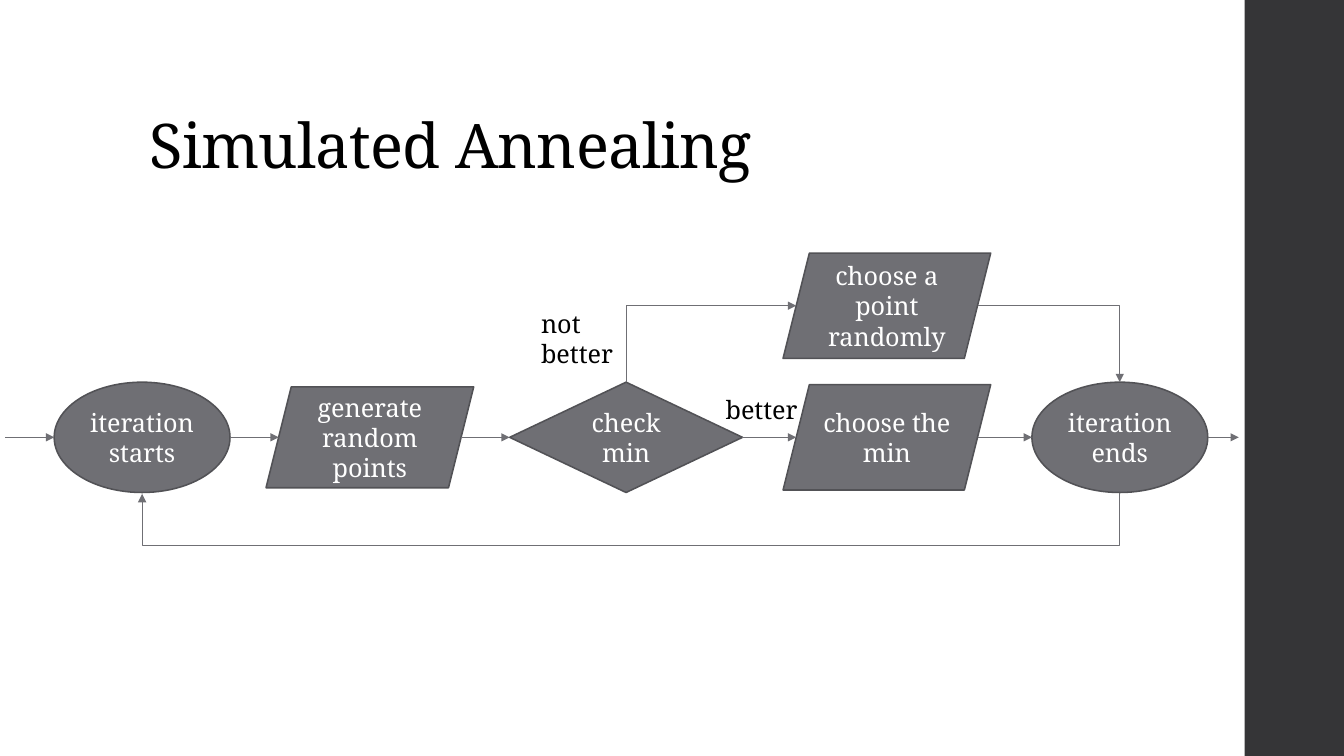
import pptx
import pptx.util
import pptx.dml.color
import pptx.enum.shapes
import pptx.enum.text
import lxml.etree

Pt = pptx.util.Pt
RGBColor = pptx.dml.color.RGBColor
MSO_SHAPE = pptx.enum.shapes.MSO_SHAPE
MSO_CONNECTOR = pptx.enum.shapes.MSO_CONNECTOR
MSO_ANCHOR = pptx.enum.text.MSO_ANCHOR
PP_ALIGN = pptx.enum.text.PP_ALIGN
qn = pptx.oxml.ns.qn

BLACK = RGBColor(0x00, 0x00, 0x00)
WHITE = RGBColor(0xFF, 0xFF, 0xFF)
NODE_GRAY = RGBColor(0x6F, 0x6F, 0x74)
OUTLINE_GRAY = RGBColor(0x52, 0x52, 0x56)
SIDEBAR_GRAY = RGBColor(0x35, 0x35, 0x37)


class FlowSlide:
    font_name = "Noto Serif"
    text_size = 18
    title_size = 44

    def __init__(self, deck):
        self.page = deck.slides.add_slide(deck.slide_layouts[5])
        self.shapes = self.page.shapes

    def set_text(self, box, text, size, color, align, anchor):
        frame = box.text_frame
        frame.word_wrap = True
        frame.vertical_anchor = anchor
        para = frame.paragraphs[0]
        para.alignment = align
        para.font.name = self.font_name
        para.font.size = Pt(size)
        para.font.color.rgb = color
        span = para.add_run()
        span.text = text
        return para, span

    def title(self, text, left, top, width, height):
        box = self.shapes.title
        box.left, box.top, box.width, box.height = Pt(left), Pt(top), Pt(width), Pt(height)
        para, span = self.set_text(box, text, self.title_size, BLACK, PP_ALIGN.LEFT, MSO_ANCHOR.BOTTOM)
        box.text_frame.auto_size = pptx.enum.text.MSO_AUTO_SIZE.NONE
        para.line_spacing = 0.9
        span.font._element.set("spc", "-50")

    def shape(self, kind, left, top, width, height, fill):
        box = self.shapes.add_shape(kind, Pt(left), Pt(top), Pt(width), Pt(height))
        box.shadow.inherit = False
        box.fill.solid()
        box.fill.fore_color.rgb = fill
        box.line.fill.background()
        return box

    def node(self, kind, text, center_x, center_y, width, height):
        box = self.shape(kind, center_x - width / 2, center_y - height / 2, width, height, NODE_GRAY)
        box.line.color.rgb = OUTLINE_GRAY
        box.line.width = Pt(1.1)
        self.set_text(box, text, self.text_size, WHITE, PP_ALIGN.CENTER, MSO_ANCHOR.MIDDLE)
        slant = height / 8 if kind == MSO_SHAPE.PARALLELOGRAM else 0
        return {
            "left": (center_x - width / 2 + slant, center_y),
            "right": (center_x + width / 2 - slant, center_y),
            "top": (center_x, center_y - height / 2),
            "bottom": (center_x, center_y + height / 2),
        }

    def label(self, text, left, top, width, height):
        box = self.shapes.add_textbox(Pt(left), Pt(top), Pt(width), Pt(height))
        self.set_text(box, text, self.text_size, BLACK, PP_ALIGN.LEFT, MSO_ANCHOR.TOP)

    def arrow(self, start, end, kind=MSO_CONNECTOR.STRAIGHT):
        line = self.shapes.add_connector(kind, Pt(start[0]), Pt(start[1]), Pt(end[0]), Pt(end[1]))
        line.line.color.rgb = NODE_GRAY
        line.line.width = Pt(0.75)
        properties = line._element.spPr
        lxml.etree.SubElement(properties.find(qn("a:ln")), qn("a:tailEnd"), type="triangle")
        lxml.etree.SubElement(properties, qn("a:effectLst"))
        return line

    def elbow(self, start, end, preset, vertical_first=False, bend=None):
        line = self.arrow(start, end, MSO_CONNECTOR.ELBOW)
        properties = line._element.spPr
        geometry = properties.find(qn("a:prstGeom"))
        geometry.set("prst", preset)
        if bend is not None:
            guide = lxml.etree.SubElement(geometry.find(qn("a:avLst")), qn("a:gd"))
            guide.set("name", "adj1")
            guide.set("fmla", f"val {round(bend * 100000)}")
        if vertical_first:
            width, height = abs(end[1] - start[1]), abs(end[0] - start[0])
            line.left = Pt((start[0] + end[0] - width) / 2)
            line.top = Pt((start[1] + end[1] - height) / 2)
            line.width, line.height = Pt(width), Pt(height)
            transform = properties.find(qn("a:xfrm"))
            transform.set("rot", "5400000")
            flip = "1" if end[0] > start[0] else "0"
            transform.set("flipH", flip)
            transform.set("flipV", flip)


deck = pptx.Presentation()
deck.slide_width, deck.slide_height = Pt(960), Pt(540)
flow = FlowSlide(deck)

flow.shape(MSO_SHAPE.RECTANGLE, 889, 0, 71, 540, SIDEBAR_GRAY)
flow.title("Simulated Annealing", 99.4, 28.8, 763, 104.4)

MAIN_ROW, UPPER_ROW = 312.4, 218.4
OVAL = (125.6, 78.8)
CHOICE = (148.3, 75.2)
CHOICE_X = 633.5

starts = flow.node(MSO_SHAPE.OVAL, "iteration starts", 101.5, MAIN_ROW, *OVAL)
generate = flow.node(MSO_SHAPE.PARALLELOGRAM, "generate random points", 264.2, MAIN_ROW, 148.3, 72)
check = flow.node(MSO_SHAPE.DIAMOND, "check min", 447.2, MAIN_ROW, 166.3, 78.8)
choose_min = flow.node(MSO_SHAPE.PARALLELOGRAM, "choose the min", CHOICE_X, MAIN_ROW, *CHOICE)
ends = flow.node(MSO_SHAPE.OVAL, "iteration ends", 799.9, MAIN_ROW, *OVAL)
choose_random = flow.node(MSO_SHAPE.PARALLELOGRAM, "choose a point randomly", CHOICE_X, UPPER_ROW, *CHOICE)

flow.label("not better", 379.4, 216.7, 72, 51)
flow.label("better", 511.2, 278, 67, 29)

steps = [starts, generate, check, choose_min, ends]
for source, target in zip(steps, steps[1:]):
    flow.arrow(source["right"], target["left"])
flow.arrow((3.6, MAIN_ROW), starts["left"])
flow.arrow(ends["right"], (884.9, MAIN_ROW))

flow.elbow(check["top"], choose_random["left"], "bentConnector2", vertical_first=True)
flow.elbow(choose_random["right"], ends["top"], "bentConnector2")
loop_end = (starts["bottom"][0], starts["bottom"][1] + 1)
flow.elbow(ends["bottom"], loop_end, "bentConnector3", vertical_first=True, bend=38)

deck.save("out.pptx")
